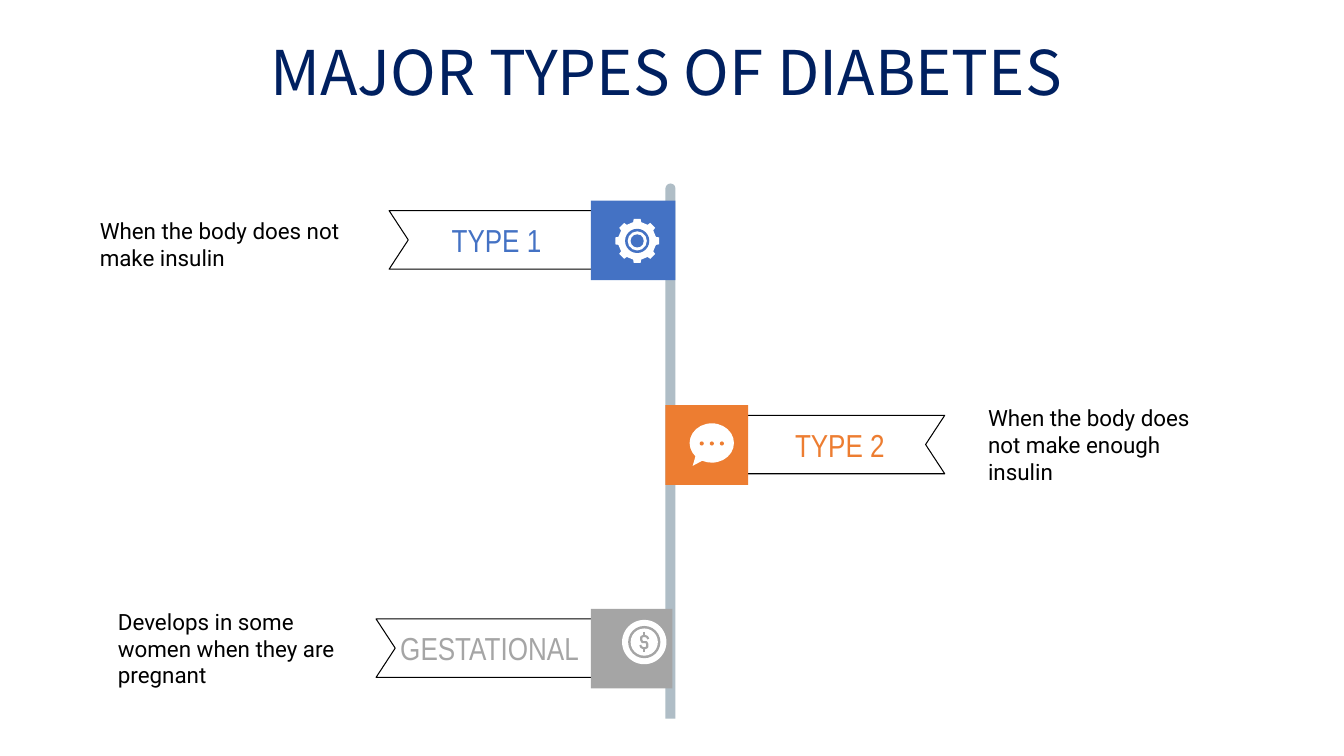
from math import cos, radians, sin

from pptx import Presentation
from pptx.dml.color import RGBColor
from pptx.enum.shapes import MSO_SHAPE
from pptx.enum.text import MSO_ANCHOR, PP_ALIGN
from pptx.util import Inches, Pt

OVAL = MSO_SHAPE.OVAL
BUBBLE = MSO_SHAPE.OVAL_CALLOUT
ROUND_TOP = MSO_SHAPE.ROUND_2_SAME_RECTANGLE
RECT = MSO_SHAPE.RECTANGLE
MIDDLE = MSO_ANCHOR.MIDDLE
LEFT, CENTER = PP_ALIGN.LEFT, PP_ALIGN.CENTER

WHITE, BLACK, NAVY, STEEL = "FFFFFF", "000000", "002060", "AFBDC6"
BLUE, ORANGE, GRAY = "4472C4", "ED7D31", "A5A5A5"

TITLE = "MAJOR TYPES OF DIABETES"
FLAGS = [
    dict(name="TYPE 2", color=ORANGE, top=4.02, square=(6.6, 0.82),
         tip=9.37, base=7.29, note=(9.67, 4.02, 2.6),
         text="When the body does not make enough insulin"),
    dict(name="GESTATIONAL", color=GRAY, top=6.04, square=(5.86, 0.81),
         tip=3.73, base=5.98, note=(1.04, 6.04, 2.6),
         text="Develops in some women when they are pregnant"),
    dict(name="TYPE 1", color=BLUE, top=1.99, square=(5.86, 0.84),
         tip=3.86, base=5.99, note=(0.86, 2.03, 2.7),
         text="When the body does not make insulin"),
]
GEAR, CHAT, COIN = (6.32, 2.39), (7.06, 4.4), (6.39, 6.37)
GEAR_RINGS = [(0.24, BLUE), (0.19, WHITE), (0.13, BLUE)]
COIN_RINGS = [(0.44, WHITE), (0.32, GRAY), (0.27, WHITE)]
TOOTH = [(-12, 0.19), (-9, 0.22), (9, 0.22), (12, 0.19)]
DOLLAR = [
    [(0.04, -0.03), (0.03, -0.05), (0.01, -0.06), (-0.01, -0.06),
     (-0.03, -0.05), (-0.03, -0.02), (-0.02, 0), (0.02, 0),
     (0.03, 0.02), (0.03, 0.05), (0.01, 0.06), (-0.01, 0.06),
     (-0.03, 0.05), (-0.04, 0.03)],
    [(0, -0.1), (0, -0.06)],
    [(0, 0.06), (0, 0.1)],
]

prs = Presentation()
prs.slide_width, prs.slide_height = Inches(13.33), Inches(7.5)
shapes = prs.slides.add_slide(prs.slide_layouts[6]).shapes


def paint(shape, fill=None, line=None, width=0.75):
    shape.shadow.inherit = False
    for part, color in ((shape.fill, fill), (shape.line.fill, line)):
        if color:
            part.solid()
            part.fore_color.rgb = RGBColor.from_string(color)
        else:
            part.background()
    if line:
        shape.line.width = Pt(width)
    return shape


def add(kind, x, y, w, h, fill):
    box = shapes.add_shape(kind, Inches(x), Inches(y), Inches(w), Inches(h))
    return paint(box, fill)


def disc(mid, size, fill):
    add(OVAL, mid[0] - size / 2, mid[1] - size / 2, size, size, fill)


def outline(paths, close=True):
    paths = [[(Inches(x), Inches(y)) for x, y in path] for path in paths]
    build = shapes.build_freeform(*paths[0][0])
    for i, path in enumerate(paths):
        if i:
            build.move_to(*path[0])
        build.add_line_segments(path[1:], close=close)
    return build.convert_to_shape()


def write(shape, text, font, size, color, align=LEFT):
    frame = shape.text_frame
    frame.word_wrap = True
    frame.vertical_anchor = MIDDLE
    frame.margin_left = frame.margin_right = Inches(0.13)
    frame.margin_top = frame.margin_bottom = Inches(0.13)
    para = frame.paragraphs[0]
    para.text = text
    para.alignment = align
    para.font.name, para.font.size = font, Pt(size)
    para.font.color.rgb = RGBColor.from_string(color)
    return para


def label(x, y, w, h, *style):
    box = shapes.add_textbox(Inches(x), Inches(y), Inches(w), Inches(h))
    return write(box, *style)


def flag(name, color, top, square, tip, base, note, text):
    high, mid, low = top + 0.1, top + 0.39, top + 0.68
    notch = tip + (0.19 if tip < base else -0.19)
    ribbon = outline([[(base, low), (tip, low), (notch, mid),
                       (tip, high), (base, high)]])
    paint(ribbon, line=BLACK)
    write(ribbon, name, "Arial Narrow", 22.7, color, CENTER)
    add(RECT, square[0], top, square[1], 0.79, color)
    label(*note, 0.78, text, "Roboto", 16, BLACK)


title = label(0.98, 0.4, 11.26, 0.7, TITLE, "Noto Sans CJK SC", 44, NAVY, CENTER)
title.line_spacing = 0.9

pole = add(ROUND_TOP, 6.6, 1.82, 0.1, 5.31, STEEL)
pole.adjustments[0] = 0.5

for item in FLAGS:
    flag(**item)

teeth = [(GEAR[0] + r * cos(radians(turn + a)),
          GEAR[1] + r * sin(radians(turn + a)))
         for turn in range(0, 360, 45) for a, r in TOOTH]
paint(outline([teeth]), WHITE)
for size, color in GEAR_RINGS:
    disc(GEAR, size, color)

chat = add(BUBBLE, CHAT[0] - 0.22, CHAT[1] - 0.2, 0.44, 0.39, WHITE)
chat.adjustments[0], chat.adjustments[1] = -0.43, 0.58
for step in (-1, 0, 1):
    disc((CHAT[0] + step * 0.1, CHAT[1]), 0.04, ORANGE)

for size, color in COIN_RINGS:
    disc(COIN, size, color)
sign = [[(COIN[0] + x, COIN[1] + y) for x, y in path] for path in DOLLAR]
paint(outline(sign, close=False), line=GRAY, width=1.5)

prs.save("out.pptx")
